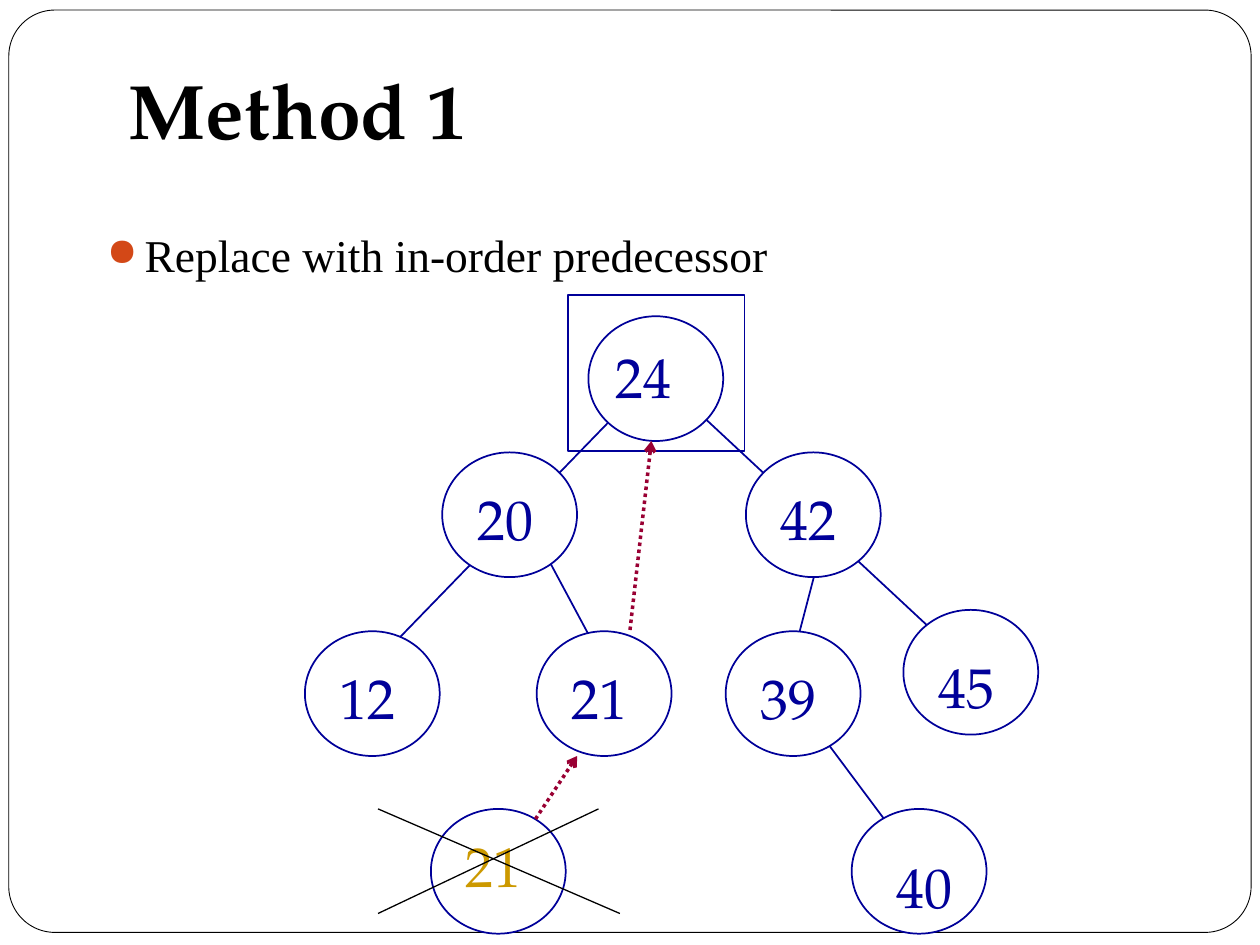
import pptx
import pptx.dml.color
import pptx.enum.dml
import pptx.enum.shapes
import pptx.enum.text
import pptx.oxml
import pptx.oxml.ns
import pptx.util
from pptx.util import Inches

SERIF = "TeX Gyre Pagella"
ROMAN = "Times New Roman"
BLUE, RED, GOLD = "000099", "990033", "CC9900"
BLACK, WHITE, RUST = "000000", "FFFFFF", "D34817"
SHAPE = pptx.enum.shapes.MSO_SHAPE
ANCHOR = pptx.enum.text.MSO_ANCHOR


def color(code):
    return pptx.dml.color.RGBColor.from_string(code)


def node(tag, **attrs):
    item = pptx.oxml.parse_xml(f"<a:{tag} {pptx.oxml.ns.nsdecls('a')}/>")
    for key, value in attrs.items():
        item.set(key, str(value))
    return item


def write(frame, text, font=SERIF, size=32, ink=BLUE, bold=False,
          wrap=True, anchor=ANCHOR.TOP, base=0.05):
    frame.word_wrap = wrap
    frame.auto_size = pptx.enum.text.MSO_AUTO_SIZE.NONE
    frame.vertical_anchor = anchor
    frame.margin_left = frame.margin_right = Inches(0.1)
    frame.margin_top, frame.margin_bottom = Inches(0.05), Inches(base)
    para = frame.paragraphs[0]
    para.alignment = pptx.enum.text.PP_ALIGN.LEFT
    run = para.add_run()
    run.text = text
    run.font.name = font
    run.font.size = pptx.util.Pt(size)
    run.font.bold = bold
    run.font.color.rgb = color(ink)
    return para


class Board:
    def __init__(self, deck, ink=BLUE, width=1):
        self.slide = deck.slides.add_slide(deck.slide_layouts[5])
        self.shapes = self.slide.shapes
        self.ink = ink
        self.width = width

    def title(self, text, *box):
        head = self.shapes.title
        head.left, head.top, head.width, head.height = map(Inches, box)
        write(head.text_frame, text, size=44, ink=BLACK, bold=True,
              anchor=ANCHOR.BOTTOM, base=0.1)

    def shape(self, kind, *box, fill=None, ink=None, width=None):
        item = self.shapes.add_shape(kind, *map(Inches, box))
        item.shadow.inherit = False
        if fill:
            item.fill.solid()
            item.fill.fore_color.rgb = color(fill)
        else:
            item.fill.background()
        item.line.color.rgb = color(ink or self.ink)
        item.line.width = pptx.util.Pt(width or self.width)
        return item

    def frame(self, *box):
        item = self.shape(SHAPE.ROUNDED_RECTANGLE, *box,
                          fill=WHITE, ink=BLACK, width=0.5)
        item.adjustments[0] = 0.05
        self.shapes.title._element.addprevious(item._element)

    def text(self, text, *box, **style):
        item = self.shapes.add_textbox(*map(Inches, box))
        return write(item.text_frame, text, **style)

    def bullet(self, text, *box):
        para = self.text(text, *box, font=ROMAN, size=26, ink=BLACK)
        para.space_before = pptx.util.Pt(5.8)
        props = para._p.get_or_add_pPr()
        props.set("marL", str(Inches(0.3)))
        props.set("indent", str(Inches(-0.3)))
        tint = node("buClr")
        tint.append(node("srgbClr", val=RUST))
        props.extend([tint, node("buSzPct", val=85000),
                      node("buChar", char="●")])

    def line(self, x, y, end, low, ink=None, width=None, arrow=False):
        item = self.shapes.add_connector(
            pptx.enum.shapes.MSO_CONNECTOR.STRAIGHT,
            *map(Inches, (x, y, end, low)))
        item.line.color.rgb = color(ink or self.ink)
        item.line.width = pptx.util.Pt(width or self.width)
        if arrow:
            item.line.dash_style = pptx.enum.dml.MSO_LINE.ROUND_DOT
            item.line._get_or_add_ln().append(node("tailEnd", type="arrow"))
        item._element.spPr.append(node("effectLst"))


def main():
    deck = pptx.Presentation()
    deck.slide_width, deck.slide_height = Inches(10), Inches(7.5)
    board = Board(deck)
    board.frame(0.07, 0.08, 9.86, 7.32)
    board.title("Method 1", 0.92, 0.44, 9.08, 0.89)
    board.bullet("Replace with in-order predecessor", 0.75, 1.75, 8.5, 4.92)

    edges = [(5.25, 3, 7.58, 5.17), (6.33, 5.58, 7.33, 6.92),
             (6.59, 4.08, 6.24, 5.42), (5.17, 3, 2.91, 5.33),
             (4.25, 4.25, 4.92, 5.5)]
    for edge in edges:
        board.line(*edge)

    nodes = [("24", 4.67, 2.51, 0.12, 0.16, BLUE),
             ("20", 3.51, 3.59, 0.18, 0.21, BLUE),
             ("42", 5.92, 3.59, 0.18, 0.21, BLUE),
             ("45", 7.17, 4.84, 0.18, 0.29, BLUE),
             ("12", 2.42, 5.01, 0.18, 0.21, BLUE),
             ("21", 4.26, 5.01, 0.18, 0.21, BLUE),
             ("39", 5.76, 5.01, 0.18, 0.21, BLUE),
             ("40", 6.76, 6.42, 0.26, 0.3, BLUE),
             ("21", 3.42, 6.42, 0.18, 0.13, GOLD)]
    for _, x, y, *_ in nodes:
        board.shape(SHAPE.OVAL, x, y, 1.07, 0.99, fill=WHITE)
    for key, x, y, right, down, ink in nodes:
        board.text(key, x + right, y + down, 0.74, 0.63, ink=ink, wrap=False)

    board.shape(SHAPE.RECTANGLE, 4.51, 2.34, 1.4, 1.24)
    for cross in [(3, 6.42, 4.92, 7.25), (3, 7.25, 4.75, 6.42)]:
        board.line(*cross, ink=BLACK, width=0.75)
    for move in [(5, 5, 5.17, 3.5), (4.25, 6.5, 4.58, 6)]:
        board.line(*move, ink=RED, width=2, arrow=True)
    deck.save("out.pptx")


if __name__ == "__main__":
    main()
